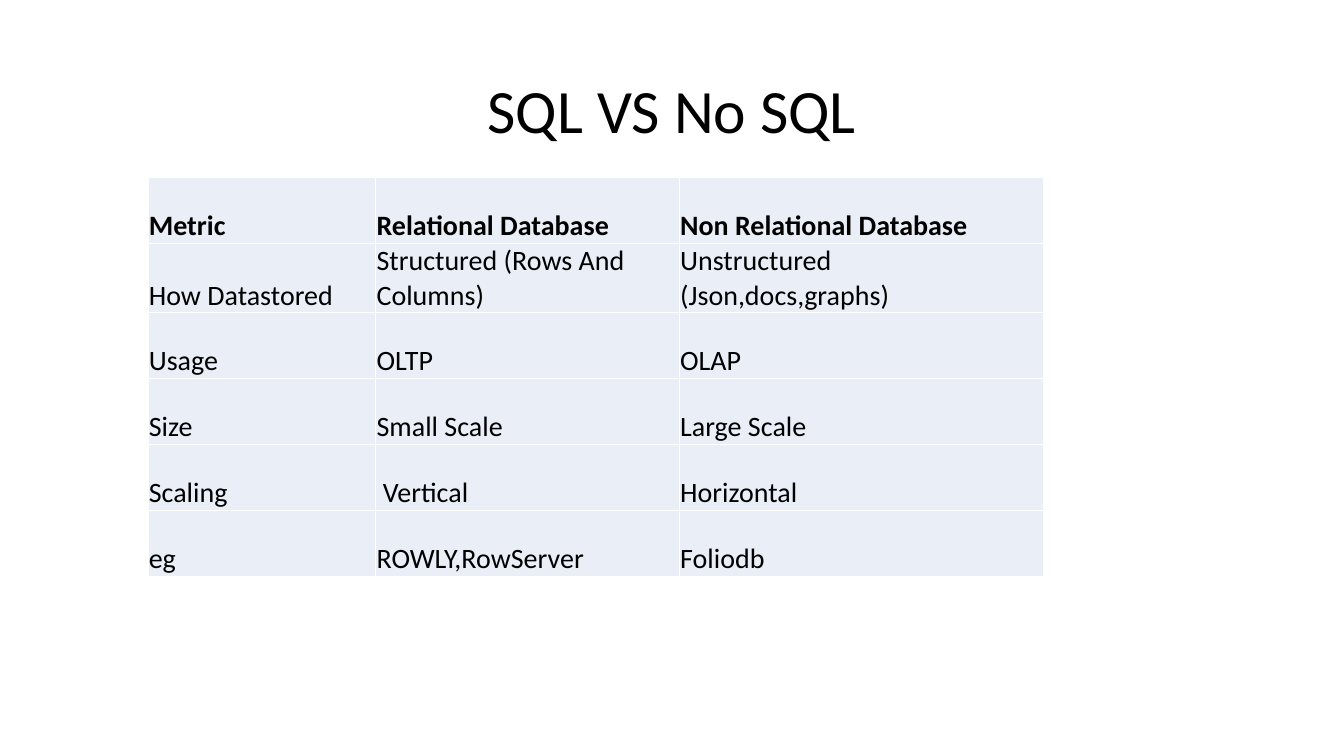
from dataclasses import dataclass

from lxml.etree import SubElement
from pptx import Presentation
from pptx.dml.color import RGBColor as Rgb
from pptx.enum.text import MSO_ANCHOR as Anchor, PP_ALIGN as Align
from pptx.oxml.ns import qn
from pptx.slide import Slide
from pptx.table import _Cell as Cell
from pptx.text.text import _Paragraph as Para
from pptx.util import Cm, Pt


@dataclass(frozen=True)
class Theme:
    font: str = "Calibri"
    ink: str = "000000"
    fill: str = "EAEFF7"
    rule: str = "FFFFFF"
    rule_pt: float = 1
    title_pt: float = 44
    body_pt: float = 20


@dataclass(frozen=True)
class Row:
    metric: str
    sql: str
    nosql: str
    bold: bool = False


THEME = Theme()
WIDTHS = (5.74, 7.65, 9.19)
HEIGHT = 1.66
ROWS = (
    Row("Metric", "Relational Database", "Non Relational Database", bold=True),
    Row("How Datastored", "Structured (Rows And Columns)",
        "Unstructured (Json,docs,graphs)"),
    Row("Usage", "OLTP", "OLAP"),
    Row("Size", "Small Scale", "Large Scale"),
    Row("Scaling", " Vertical", "Horizontal"),
    Row("eg", "ROWLY,RowServer", "Foliodb"),
)


def add_run(para: Para, text: str, size: float, bold: bool = False) -> None:
    run = para.add_run()
    run.text = text
    font = run.font
    font.name, font.size, font.bold = THEME.font, Pt(size), bold
    font.color.rgb = Rgb.from_string(THEME.ink)


def add_title(slide: Slide, text: str) -> None:
    title = slide.shapes.title
    title.left, title.top = Cm(2.33), Cm(1.01)
    title.width, title.height = Cm(29.21), Cm(3.68)
    frame = title.text_frame
    frame.vertical_anchor = Anchor.MIDDLE
    para = frame.paragraphs[0]
    para.alignment, para.line_spacing = Align.CENTER, 0.9
    add_run(para, text, THEME.title_pt)


def set_edges(cell: Cell) -> None:
    """Rule all four sides; call before filling, as the XML order demands."""
    props = cell._tc.get_or_add_tcPr()
    for side in ("lnL", "lnR", "lnT", "lnB"):
        line = SubElement(props, qn(f"a:{side}"), w=str(Pt(THEME.rule_pt)))
        paint = SubElement(line, qn("a:solidFill"))
        SubElement(paint, qn("a:srgbClr"), val=THEME.rule)


def fill_cell(cell: Cell, text: str, bold: bool) -> None:
    set_edges(cell)
    cell.fill.solid()
    cell.fill.fore_color.rgb = Rgb.from_string(THEME.fill)
    cell.vertical_anchor = Anchor.BOTTOM
    cell.margin_left = cell.margin_right = cell.margin_top = Cm(0.02)
    cell.margin_bottom = 0
    add_run(cell.text_frame.paragraphs[0], text, THEME.body_pt, bold)


def add_grid(slide: Slide) -> None:
    frame = slide.shapes.add_table(
        len(ROWS), len(WIDTHS), Cm(3.73), Cm(4.47),
        Cm(sum(WIDTHS)), Cm(HEIGHT * len(ROWS)))
    table = frame.table
    for col, width in zip(table.columns, WIDTHS):
        col.width = Cm(width)
    for line, row in zip(table.rows, ROWS):
        line.height = Cm(HEIGHT)
        for cell, text in zip(line.cells, (row.metric, row.sql, row.nosql)):
            fill_cell(cell, text, row.bold)


def main() -> None:
    deck = Presentation()
    deck.slide_width, deck.slide_height = Cm(33.87), Cm(19.05)
    slide = deck.slides.add_slide(deck.slide_layouts[5])
    add_title(slide, "SQL VS No SQL")
    add_grid(slide)
    deck.save("out.pptx")


if __name__ == "__main__":
    main()
